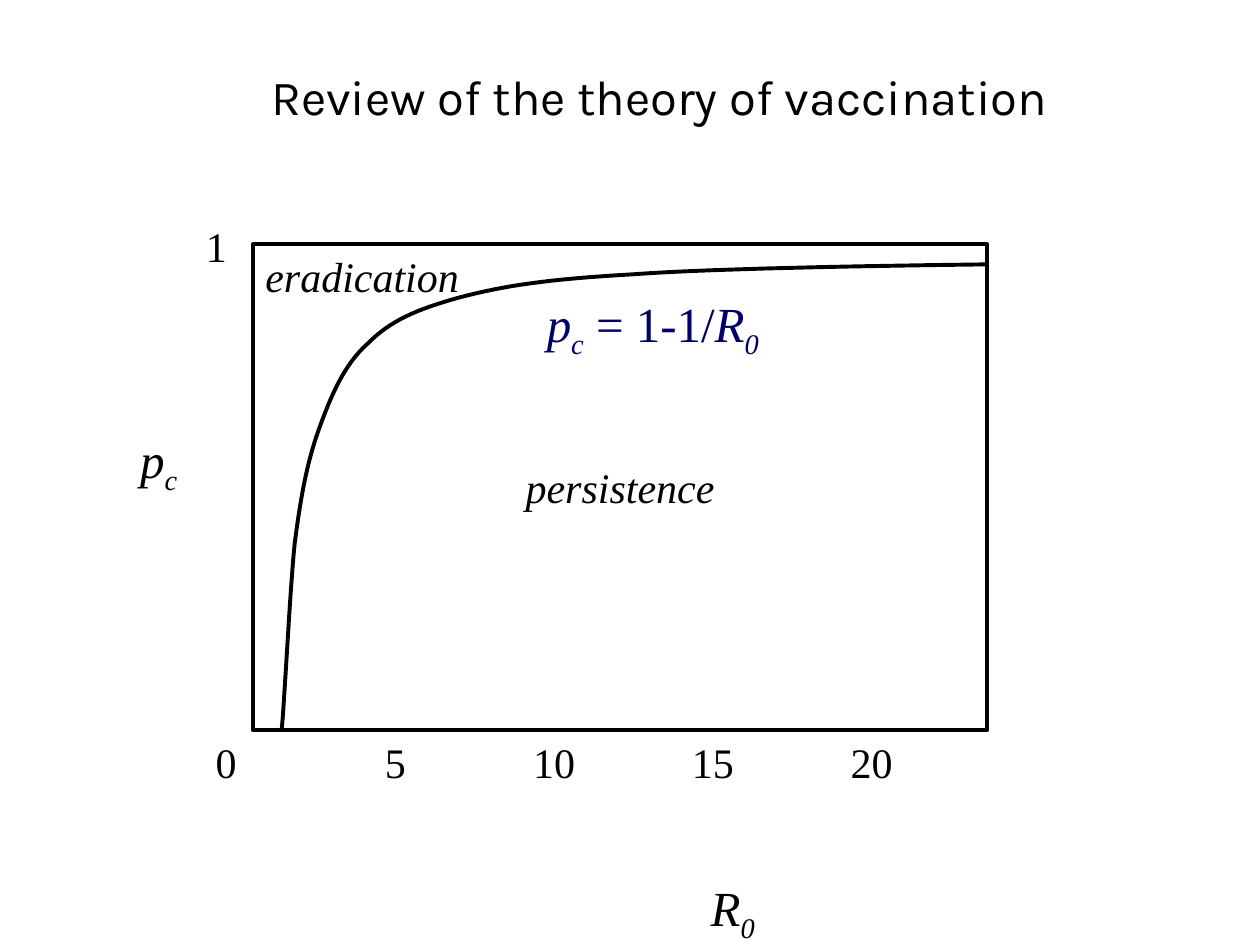
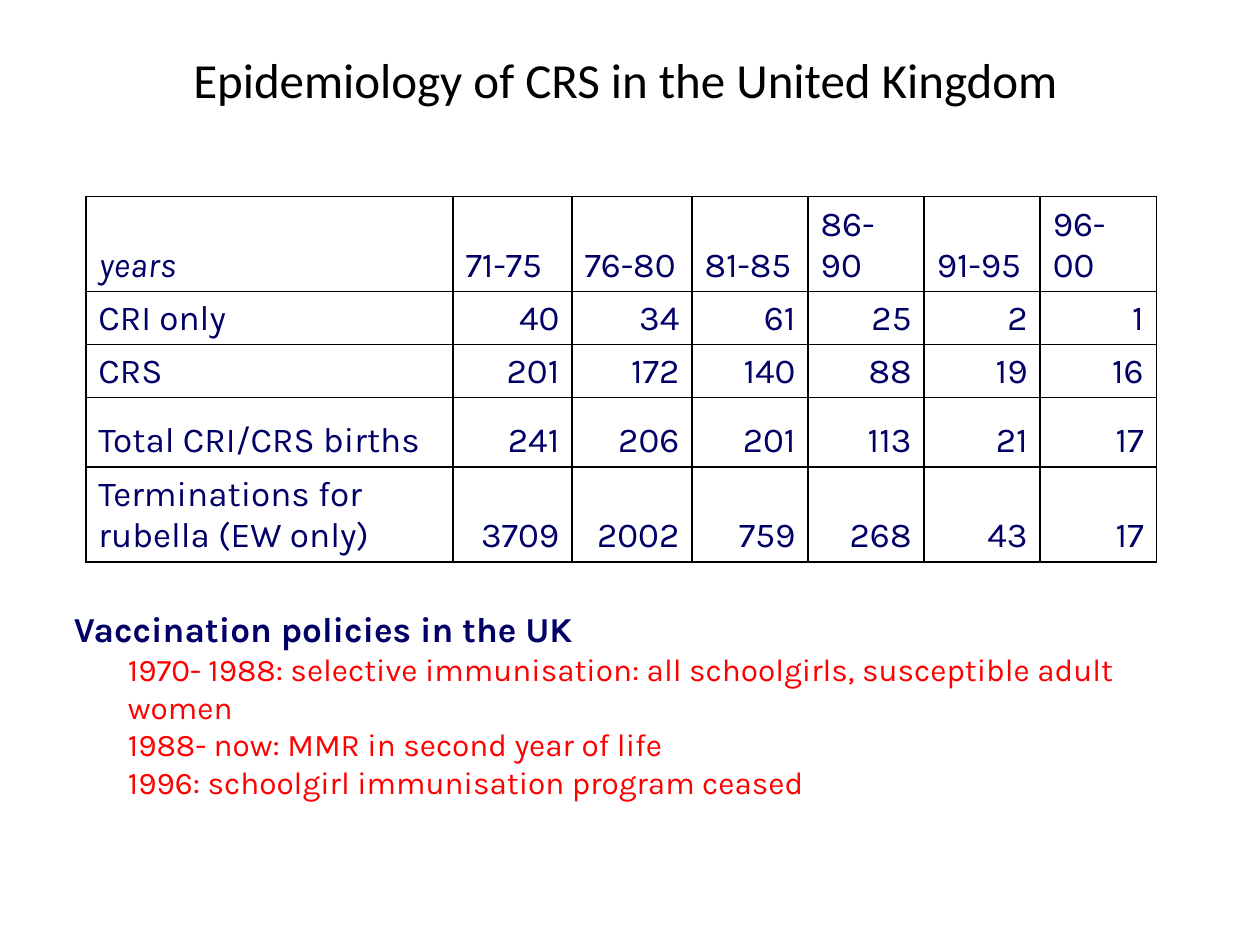
import lxml.etree
import pptx
import pptx.dml.color
import pptx.enum.shapes
import pptx.enum.text
import pptx.oxml.ns
import pptx.util

Cm = pptx.util.Cm
Pt = pptx.util.Pt
ALIGN = pptx.enum.text.PP_ALIGN
ANCHOR = pptx.enum.text.MSO_ANCHOR

COLOURS = {"ink": "000000", "navy": "000066", "red": "FF0000"}
SERIF, SANS = "Times New Roman", "Karla"
TITLE_SIZE = 28
LABEL_SIZE = 24
SYMBOL_SIZE = 28

# Start point, then two control points and an end point for each curve, in cm
THRESHOLD_CURVE = [
    (0.58, 9.8),
    (0.64, 9.17), (0.74, 7.06), (0.84, 6.05),
    (0.97, 5.05), (1.09, 4.42), (1.32, 3.76),
    (1.57, 3.07), (1.83, 2.44), (2.31, 2.01),
    (2.77, 1.55), (3.28, 1.32), (4.19, 1.07),
    (5.08, 0.84), (5.92, 0.71), (7.67, 0.61),
    (9.45, 0.48), (13.31, 0.43), (14.81, 0.41),
]

CASES = [
    ["years", "71-75", "76-80", "81-85", "86-90", "91-95", "96-00"],
    ["CRI only", "40", "34", "61", "25", "2", "1"],
    ["CRS", "201", "172", "140", "88", "19", "16"],
    ["Total CRI/CRS births", "241", "206", "201", "113", "21", "17"],
    ["Terminations for rubella (EW only)", "3709", "2002", "759", "268", "43", "17"],
]
COLUMN_WIDTHS = [7.4, 2.4, 2.42] + [2.34] * 4
ROW_HEIGHTS = [1.55, 1.07, 1.04, 1.4, 1.4]

POLICIES = [
    "1970- 1988: selective immunisation: all schoolgirls, susceptible adult women",
    "1988- now: MMR in second year of life",
    "1996: schoolgirl immunisation program ceased",
]


def colour(name):
    return pptx.dml.color.RGBColor.from_string(COLOURS[name])


def write(paragraph, text, font=SANS, size=20, ink="ink", bold=False, italic=False,
          subscript=False, align=None, indent=0):
    """Append one formatted run to the paragraph."""
    run = paragraph.add_run()
    run.text = text
    run.font.name = font
    run.font.size = Pt(size)
    run.font.bold = bold
    run.font.italic = italic
    run.font.color.rgb = colour(ink)
    if subscript:
        run.font._element.set("baseline", "-25000")
    if align is not None:
        paragraph.alignment = align
    if indent:
        properties = paragraph._p.get_or_add_pPr()
        properties.set("marL", str(Cm(indent)))
        properties.set("indent", "0")


def add_text_box(slide, left, top, width, height, wrap=True, anchor=ANCHOR.TOP):
    frame = slide.shapes.add_textbox(Cm(left), Cm(top), Cm(width), Cm(height)).text_frame
    frame.word_wrap = wrap
    frame.vertical_anchor = anchor
    return frame


def add_title(slide, text, box, font):
    frame = add_text_box(slide, *box, anchor=ANCHOR.MIDDLE)
    write(frame.paragraphs[0], text, font=font, size=TITLE_SIZE, align=ALIGN.CENTER)


def add_label(slide, centre, top, runs, width=1.4, size=LABEL_SIZE, ink="ink"):
    """Centre a line of (text, format) runs on a horizontal position."""
    frame = add_text_box(slide, centre - width / 2, top, width, size * 0.052, wrap=False)
    for text, style in runs:
        write(frame.paragraphs[0], text, font=SERIF, size=size, ink=ink,
              align=ALIGN.CENTER, **style)


def symbol(letter, index):
    return [(letter, {"italic": True}), (index, {"italic": True, "subscript": True})]


def bezier_points(points, steps=16):
    yield points[0]
    for first in range(0, len(points) - 1, 3):
        a, b, c, d = points[first:first + 4]
        for step in range(1, steps + 1):
            t = step / steps
            weights = ((1 - t) ** 3, 3 * t * (1 - t) ** 2, 3 * t * t * (1 - t), t ** 3)
            yield tuple(sum(w * p[axis] for w, p in zip(weights, (a, b, c, d)))
                        for axis in (0, 1))


def outline(shape):
    shape.shadow.inherit = False
    shape.fill.background()
    shape.line.color.rgb = colour("ink")
    shape.line.width = Pt(2.25)


def add_threshold_plot(slide, left, top, width, height):
    frame = slide.shapes.add_shape(pptx.enum.shapes.MSO_SHAPE.RECTANGLE,
                                   Cm(left), Cm(top), Cm(width), Cm(height))
    outline(frame)
    frame.text_frame.word_wrap = False
    frame.text_frame.vertical_anchor = ANCHOR.MIDDLE
    write(frame.text_frame.paragraphs[0], "persistence", font=SERIF, size=LABEL_SIZE,
          italic=True, align=ALIGN.CENTER)

    start, *rest = [(Cm(left + x), Cm(top + y)) for x, y in bezier_points(THRESHOLD_CURVE)]
    builder = slide.shapes.build_freeform(*start)
    builder.add_line_segments(rest, close=False)
    outline(builder.convert_to_shape())

    add_label(slide, left - 0.74, top - 0.6, [("1", {})])
    add_label(slide, left - 0.54, top + height, [("0", {})])
    for index, tick in enumerate(range(5, 25, 5)):
        add_label(slide, left + 2.87 + 3.2 * index, top + height, [(str(tick), {})])

    add_label(slide, left - 1.9, top + 3.61, symbol("p", "c"), size=SYMBOL_SIZE)
    add_label(slide, left + 9.67, top + 12.64, symbol("R", "0"), width=2.18, size=SYMBOL_SIZE)
    add_label(slide, left + 2.2, top, [("eradication", {"italic": True})], width=4.42)
    equation = symbol("p", "c") + [(" = 1-1/", {})] + symbol("R", "0")
    add_label(slide, left + 8.06, top + 0.87, equation, width=5.03, size=SYMBOL_SIZE,
              ink="navy")


def add_borders(cell):
    properties = cell._tc.get_or_add_tcPr()
    for position, side in enumerate(("lnL", "lnR", "lnT", "lnB")):
        border = lxml.etree.Element(pptx.oxml.ns.qn("a:" + side), w=str(Pt(1)))
        fill = lxml.etree.SubElement(border, pptx.oxml.ns.qn("a:solidFill"))
        lxml.etree.SubElement(fill, pptx.oxml.ns.qn("a:srgbClr"), val=COLOURS["ink"])
        properties.insert(position, border)


def add_case_table(slide, left, top):
    table = slide.shapes.add_table(
        len(CASES), len(CASES[0]), Cm(left), Cm(top),
        Cm(sum(COLUMN_WIDTHS)), Cm(sum(ROW_HEIGHTS))).table
    table.first_row = table.horz_banding = False
    for column, width in zip(table.columns, COLUMN_WIDTHS):
        column.width = Cm(width)
    for row, height in zip(table.rows, ROW_HEIGHTS):
        row.height = Cm(height)
    for row, values in enumerate(CASES):
        for column, value in enumerate(values):
            cell = table.cell(row, column)
            cell.fill.background()
            cell.vertical_anchor = ANCHOR.BOTTOM
            cell.margin_top = cell.margin_bottom = Cm(0.11)
            add_borders(cell)
            write(cell.text_frame.paragraphs[0], value, ink="navy",
                  italic=row == column == 0,
                  align=ALIGN.RIGHT if row and column else ALIGN.LEFT)


def add_policies(slide, left, top, width, height):
    frame = add_text_box(slide, left, top, width, height)
    write(frame.paragraphs[0], "Vaccination policies in the UK", ink="navy", bold=True,
          indent=0.17)
    for policy in POLICIES:
        write(frame.add_paragraph(), policy, size=18, ink="red", indent=1.26)


def build_theory_slide(slide):
    add_title(slide, "Review of the theory of vaccination", (2.49, 0.93, 21.59, 2.01), SANS)
    add_threshold_plot(slide, 5.1, 4.92, 14.8, 9.8)


def build_epidemiology_slide(slide):
    add_case_table(slide, 1.73, 3.96)
    add_policies(slide, 1.07, 12.13, 23.39, 3.43)
    add_title(slide, "Epidemiology of CRS in the United Kingdom",
              (3.55, 0.86, 18.11, 1.45), "Calibri")


def main():
    presentation = pptx.Presentation()
    presentation.slide_width, presentation.slide_height = Cm(25.4), Cm(19.05)
    blank = presentation.slide_layouts[6]
    for build in (build_theory_slide, build_epidemiology_slide):
        build(presentation.slides.add_slide(blank))
    presentation.save("out.pptx")


if __name__ == "__main__":
    main()
